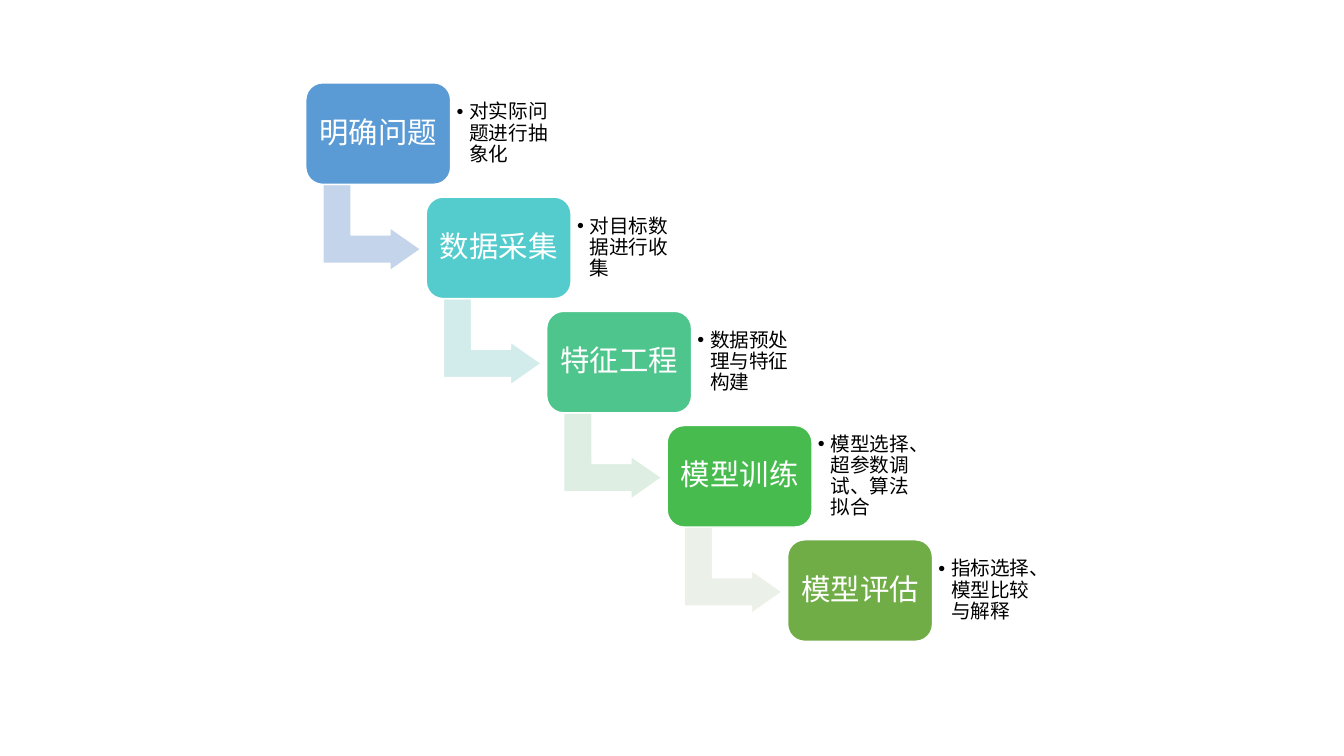
"""Build a slide with a five-step descending process for a modelling project."""
from lxml import etree
from pptx import Presentation
from pptx.dml.color import RGBColor
from pptx.enum import shapes, text
from pptx.oxml import ns
from pptx.util import Pt

FONT = "Noto Sans CJK SC"
STEPS = [
    ("明确问题", "对实际问题进行抽象化", "5B9BD5", "C4D5EB"),
    ("数据采集", "对目标数据进行收集", "54CCCD", "D2ECEB"),
    ("特征工程", "数据预处理与特征构建", "4DC58D", "DEEEE3"),
    ("模型训练", "模型选择、超参数调试、算法拟合", "48BB4F", "EBF1E9"),
    ("模型评估", "指标选择、模型比较与解释", "70AD47", None),
]
LEFT, TOP, STEP_X, STEP_Y = 218.4, 59.2, 86.05, 81.6
BOX_W, BOX_H = 103.5, 72.5


def add_block(kind, x, y, w, h, fill, adjustments):
    sp = slide.shapes.add_shape(kind, Pt(x), Pt(y), Pt(w), Pt(h))
    sp.shadow.inherit = False
    sp.fill.solid()
    sp.fill.fore_color.rgb = RGBColor.from_string(fill)
    sp.line.color.rgb = RGBColor.from_string("FFFFFF")
    sp.line.width = Pt(1)
    for i, value in enumerate(adjustments):
        sp.adjustments[i] = value
    return sp


def write(sp, words, size, color, inset, align):
    tf = sp.text_frame
    tf.word_wrap = True
    tf.vertical_anchor = text.MSO_ANCHOR.MIDDLE
    tf.margin_left = tf.margin_right = Pt(inset)
    tf.margin_top = tf.margin_bottom = Pt(inset)
    p = tf.paragraphs[0]
    p.alignment = align
    p.line_spacing = 0.9
    r = p.add_run()
    r.text = words
    r.font.size = Pt(size)
    r.font.name = FONT
    r.font.color.rgb = RGBColor.from_string(color)
    etree.SubElement(r.font._element, ns.qn("a:ea"), typeface=FONT)
    return p


prs = Presentation()
prs.slide_width, prs.slide_height = Pt(960), Pt(540)
slide = prs.slides.add_slide(prs.slide_layouts[6])

for i, (name, detail, fill, arrow_fill) in enumerate(STEPS):
    x, y = LEFT + i * STEP_X, TOP + i * STEP_Y
    if arrow_fill:
        arrow = add_block(shapes.MSO_SHAPE.BENT_UP_ARROW, x + 16.4, y + 68.4,
                          61.6, 70, arrow_fill, (0.328, 0.25, 0.358))
        arrow.rotation = 90

    box = add_block(shapes.MSO_SHAPE.ROUNDED_RECTANGLE, x, y,
                    BOX_W, BOX_H, fill, (0.167,))
    write(box, name, 21, "FFFFFF", 4, text.PP_ALIGN.CENTER)

    note = slide.shapes.add_textbox(Pt(x + BOX_W), Pt(y + 7), Pt(75.6), Pt(58.8))
    p = write(note, detail, 14, "000000", 4.2, text.PP_ALIGN.LEFT)
    pPr = p._p.get_or_add_pPr()
    pPr.set("marL", str(Pt(9)))
    pPr.set("indent", str(Pt(-9)))
    etree.SubElement(pPr, ns.qn("a:buFont"), typeface="Arial")
    etree.SubElement(pPr, ns.qn("a:buChar"), char="•")

prs.save("out.pptx")
